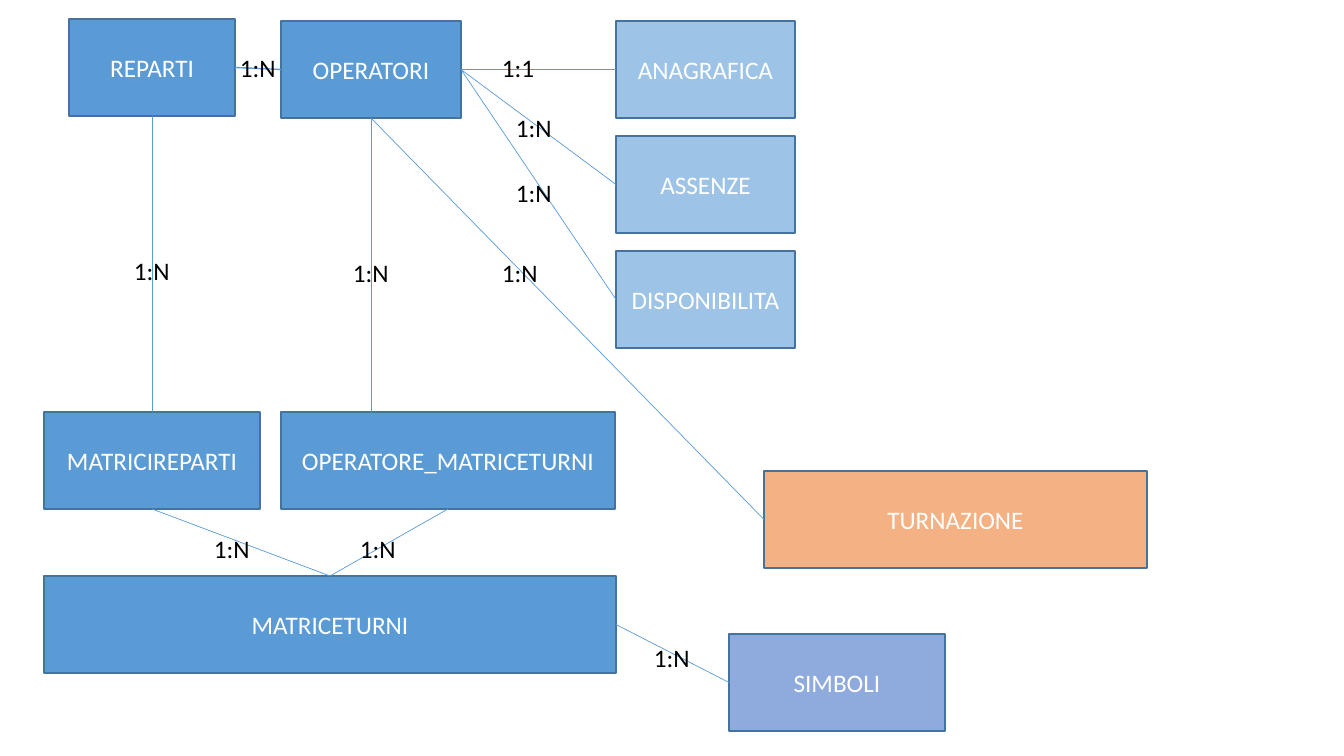
"""Entity diagram of departments, operators, shift matrices and shifts."""
import pptx
import pptx.dml.color
import pptx.enum.shapes
import pptx.enum.text
import pptx.oxml.ns
import pptx.util
from lxml import etree

SCALE = 914400 / 100.8
COLORS = {"main": "5B9BD5", "light": "9DC3E6", "orange": "F4B183", "violet": "8FAADC",
          "edge": "43739E", "white": "FFFFFF", "black": "000000"}
TOP, LEFT, BOTTOM, RIGHT = range(4)
TALL = 97


def emu(*sizes):
    """Turn pixels into EMU."""
    return [pptx.util.Emu(round(size * SCALE)) for size in sizes]


def color(name):
    """Give the named colour."""
    return pptx.dml.color.RGBColor.from_string(COLORS[name])


class Canvas:
    """Hold the style and the current slide."""

    font, size = "Calibri", 18

    def __init__(self, deck):
        """Add a blank slide."""
        self.shapes = deck.slides.add_slide(deck.slide_layouts[6]).shapes

    def letter(self, shape, text, tint):
        """Set and format the text of a shape."""
        shape.text_frame.text = text
        font = shape.text_frame.paragraphs[0].runs[0].font
        font.name, font.size = self.font, pptx.util.Pt(self.size)
        font.color.rgb = color(tint)

    def box(self, text, left, top, width, fill="main"):
        """Draw an entity box."""
        kind = pptx.enum.shapes.MSO_SHAPE.RECTANGLE
        shape = self.shapes.add_shape(kind, *emu(left, top, width, TALL))
        shape.shadow.inherit = False
        shape.fill.solid()
        shape.fill.fore_color.rgb = color(fill)
        shape.line.color.rgb = color("edge")
        shape.line.width = pptx.util.Pt(1)
        self.letter(shape, text, "white")
        frame = shape.text_frame
        frame.vertical_anchor = pptx.enum.text.MSO_ANCHOR.MIDDLE
        frame.paragraphs[0].alignment = pptx.enum.text.PP_ALIGN.CENTER
        return shape

    def link(self, start, exit_side, end, entry, width=0.5):
        """Join two boxes, or drop straight down when entry is None."""
        kind = pptx.enum.shapes.MSO_CONNECTOR.STRAIGHT
        middle = start.left + start.width // 2
        line = self.shapes.add_connector(kind, middle, start.top, middle, end.top)
        line.begin_connect(start, exit_side)
        if entry is not None:
            line.end_connect(end, entry)
        line.line.color.rgb = color("main")
        line.line.width = pptx.util.Pt(width)
        etree.SubElement(line._element.spPr, pptx.oxml.ns.qn("a:effectLst"))

    def label(self, text, left, top):
        """Place a cardinality."""
        shape = self.shapes.add_textbox(*emu(left, top, 56, 40))
        self.letter(shape, text, "black")
        shape.text_frame.word_wrap = False
        shape.text_frame.auto_size = pptx.enum.text.MSO_AUTO_SIZE.SHAPE_TO_FIT_TEXT


deck = pptx.Presentation()
deck.slide_width, deck.slide_height = emu(1344, 756)
page = Canvas(deck)

wards = page.box("REPARTI", 69, 19, 166)
staff = page.box("OPERATORI", 281, 21, 180)
plan = page.box("MATRICETURNI", 44, 576, 572)
ward_plan = page.box("MATRICIREPARTI", 44, 412, 216)
staff_plan = page.box("OPERATORE_MATRICETURNI", 281, 412, 334)
signs = page.box("SIMBOLI", 729, 634, 216, "violet")
shifts = page.box("TURNAZIONE", 764, 471, 383, "orange")

page.link(wards, RIGHT, staff, LEFT, 1)
for row, name in enumerate(["ANAGRAFICA", "ASSENZE", "DISPONIBILITA"]):
    detail = page.box(name, 616, 21 + 115 * row, 179, "light")
    page.link(staff, RIGHT, detail, LEFT)
page.link(wards, BOTTOM, ward_plan, TOP)
page.link(staff, BOTTOM, staff_plan, None)
page.link(ward_plan, BOTTOM, plan, TOP)
page.link(staff_plan, BOTTOM, plan, TOP)
page.link(signs, LEFT, plan, RIGHT)
page.link(staff, BOTTOM, shifts, LEFT)

page.label("1:1", 492, 47)
for left, top in [(230, 47), (506, 107), (506, 172), (124, 250), (343, 252),
                  (492, 252), (204, 528), (350, 528), (644, 637)]:
    page.label("1:N", left, top)

deck.save("out.pptx")
